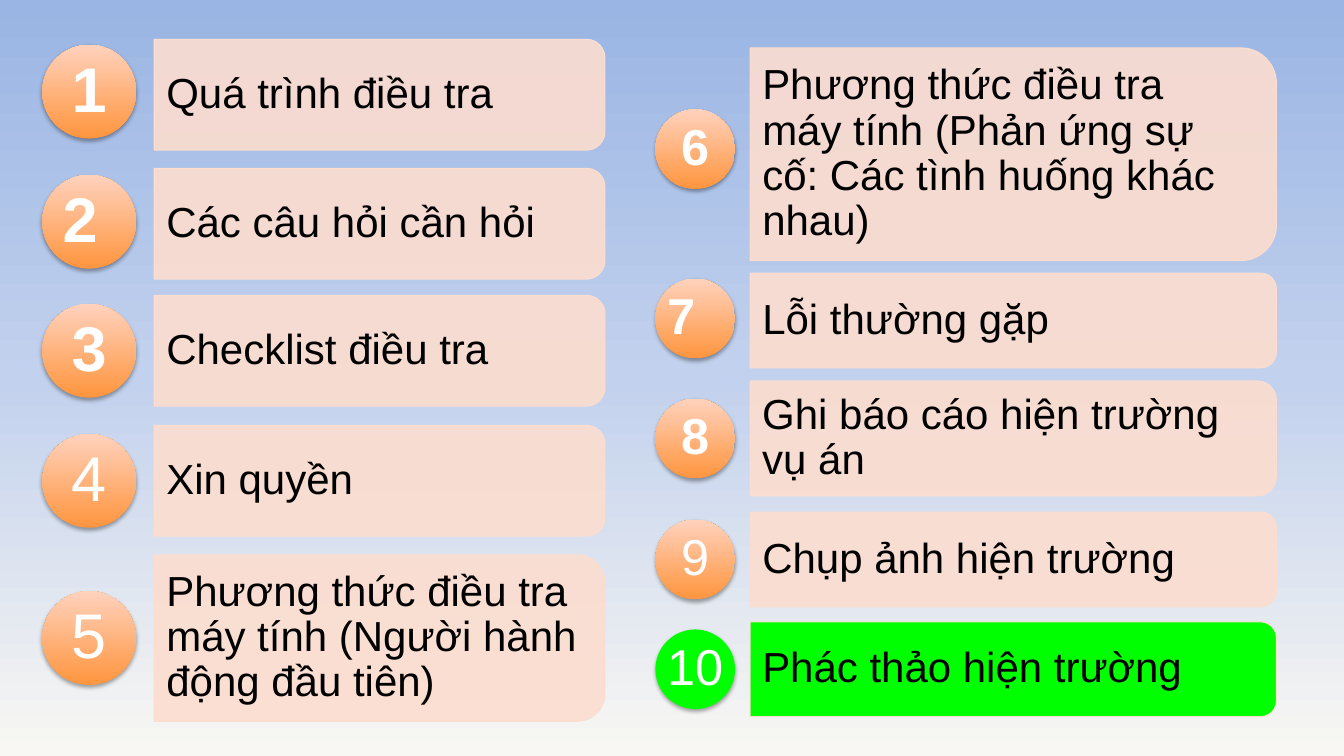
import copy
import lxml.etree
import pptx
import pptx.dml.color
import pptx.enum.shapes
import pptx.enum.text
import pptx.oxml
import pptx.oxml.ns
import pptx.util

Inches = pptx.util.Inches
Pt = pptx.util.Pt
Shape = pptx.enum.shapes.MSO_SHAPE
Align = pptx.enum.text.PP_ALIGN
qn = pptx.oxml.ns.qn

PEACH = "FCDDCF"
GREEN = "00FF00"
SHADOW = (
    '<a:effectLst xmlns:a="http://schemas.openxmlformats.org/drawingml/2006/main">'
    '<a:outerShdw blurRad="39370" dist="22860" dir="5400000" rotWithShape="0">'
    '<a:srgbClr val="000000"><a:alpha val="35000"/></a:srgbClr>'
    '</a:outerShdw></a:effectLst>'
)


def color(value):
    return pptx.dml.color.RGBColor.from_string(value)


def write(box, text, size, fill, bold=False, align=Align.LEFT, insets=(0, 0, 0, 0)):
    frame = box.text_frame
    frame.word_wrap = True
    frame.vertical_anchor = pptx.enum.text.MSO_ANCHOR.MIDDLE
    frame.margin_left, frame.margin_top, frame.margin_right, frame.margin_bottom = map(Inches, insets)
    para = frame.paragraphs[0]
    para.alignment = align
    para.line_spacing = 0.9
    span = para.add_run()
    span.text = text
    span.font.name = "Arial"
    span.font.size = Pt(size)
    span.font.bold = bold
    span.font.color.rgb = color(fill)


deck = pptx.Presentation()
deck.slide_width = Inches(13.33)
deck.slide_height = Inches(7.5)
page = deck.slides.add_slide(deck.slide_layouts[6])

backdrop = page.background.fill
backdrop.gradient()
backdrop.gradient_angle = 270
stop_list = page.element.find(".//" + qn("a:gsLst"))
stop_list.insert(1, copy.deepcopy(stop_list[0]))
for stop, position, tone in zip(backdrop.gradient_stops, (0, 0.5, 1), ("9AB5E4", "C2D1ED", "F8F7F3")):
    stop.position = position
    stop.color.rgb = color(tone)

# Each topic: number, text, panel centre, panel height, circle centre, bold, right inset
columns = [
    {"panel_left": 1.53, "panel_width": 4.47, "circle_left": 0.42, "diameter": 0.93, "size": 45, "topics": [
        ("1", "Quá trình điều tra", 0.94, 1.1, 0.91, True, 0),
        ("2", "Các câu hỏi cần hỏi", 2.22, 1.1, 2.2, True, 0.18),
        ("3", "Checklist điều tra", 3.48, 1.1, 3.48, True, 0),
        ("4", "Xin quyền", 4.77, 1.1, 4.77, False, 0),
        ("5", "Phương thức điều tra máy tính (Người hành động đầu tiên)", 6.33, 1.65, 6.33, False, 0),
    ]},
    {"panel_left": 7.44, "panel_width": 5.22, "circle_left": 6.5, "diameter": 0.79, "size": 36, "topics": [
        ("6", "Phương thức điều tra máy tính (Phản ứng sự cố: Các tình huống khác nhau)",
         1.53, 2.11, 1.48, True, 0),
        ("7", "Lỗi thường gặp", 3.18, 0.94, 3.16, True, 0.28),
        ("8", "Ghi báo cáo hiện trường vụ án", 4.35, 1.14, 4.35, True, 0),
        ("9", "Chụp ảnh hiện trường", 5.55, 0.94, 5.55, False, 0),
        ("10", "Phác thảo hiện trường", 6.64, 0.94, 6.64, False, 0),
    ]},
]

for column in columns:
    left, width = column["panel_left"], column["panel_width"]
    diameter = column["diameter"]
    for number, topic, middle, height, circle_middle, bold, right_inset in column["topics"]:
        current = number == "10"

        panel = page.shapes.add_shape(
            Shape.ROUND_2_SAME_RECTANGLE,
            Inches(left + (width - height) / 2), Inches(middle - width / 2),
            Inches(height), Inches(width))
        panel.rotation = 90
        panel.shadow.inherit = False
        panel.fill.solid()
        panel.fill.fore_color.rgb = color(GREEN if current else PEACH)
        if not current:
            tint = panel.element.spPr.find(qn("a:solidFill"))[0]
            lxml.etree.SubElement(tint, qn("a:alpha"), val="90000")
        panel.line.color.rgb = color(PEACH)
        panel.line.width = Pt(0.75)

        label = page.shapes.add_textbox(
            Inches(left), Inches(middle - 0.45 * height),
            Inches(width - 0.05 * height), Inches(0.9 * height))
        write(label, topic, 30, "000000", insets=(0.12, 0.08, 0.12, 0.08))

        circle = page.shapes.add_shape(
            Shape.OVAL, Inches(column["circle_left"]), Inches(circle_middle - diameter / 2),
            Inches(diameter), Inches(diameter))
        if current:
            circle.fill.solid()
            circle.fill.fore_color.rgb = color(GREEN)
        else:
            circle.fill.gradient()
            circle.fill.gradient_angle = 90
            for stop, tone in zip(circle.fill.gradient_stops, ("FF953E", "FFD2BD")):
                stop.color.rgb = color(tone)
        circle.line.fill.background()
        circle.element.spPr.append(pptx.oxml.parse_xml(SHADOW))
        write(circle, number, column["size"], "FFFFFF", bold=bold,
              align=Align.CENTER, insets=(0, 0, right_inset, 0))

deck.save("out.pptx")
